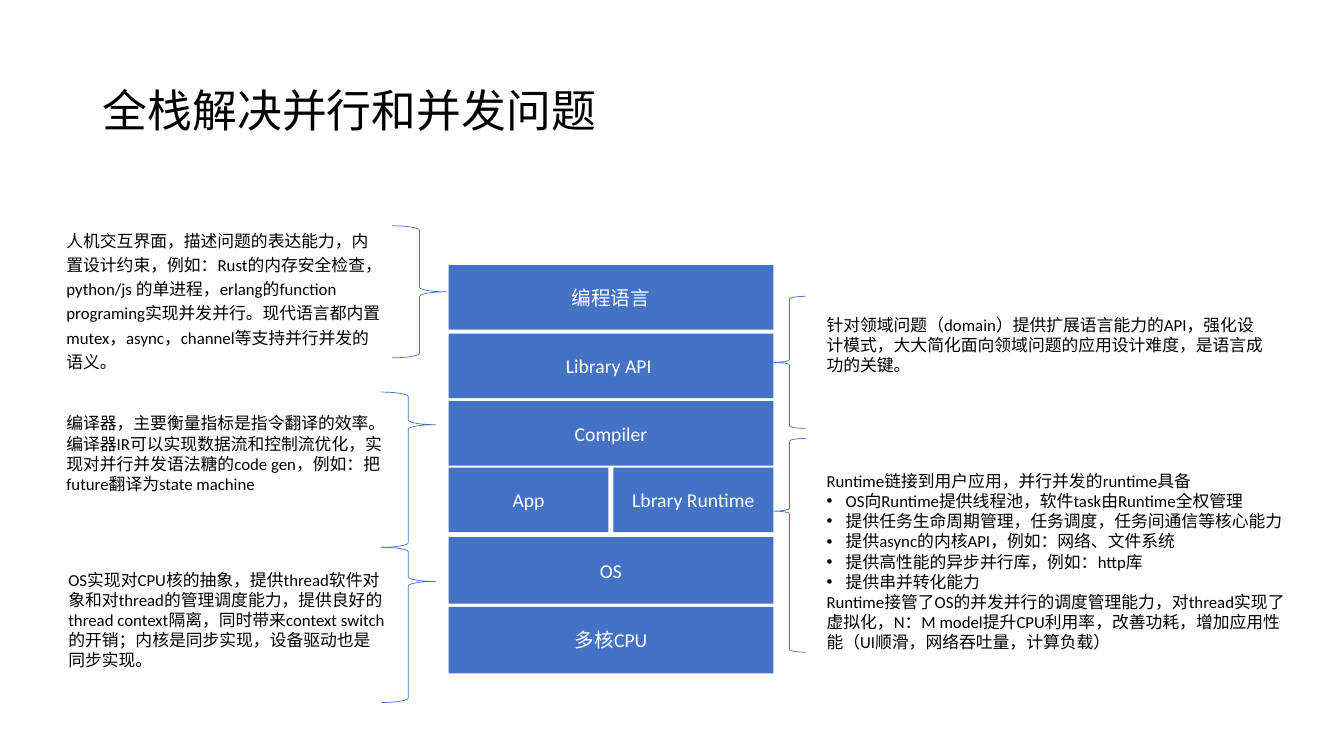
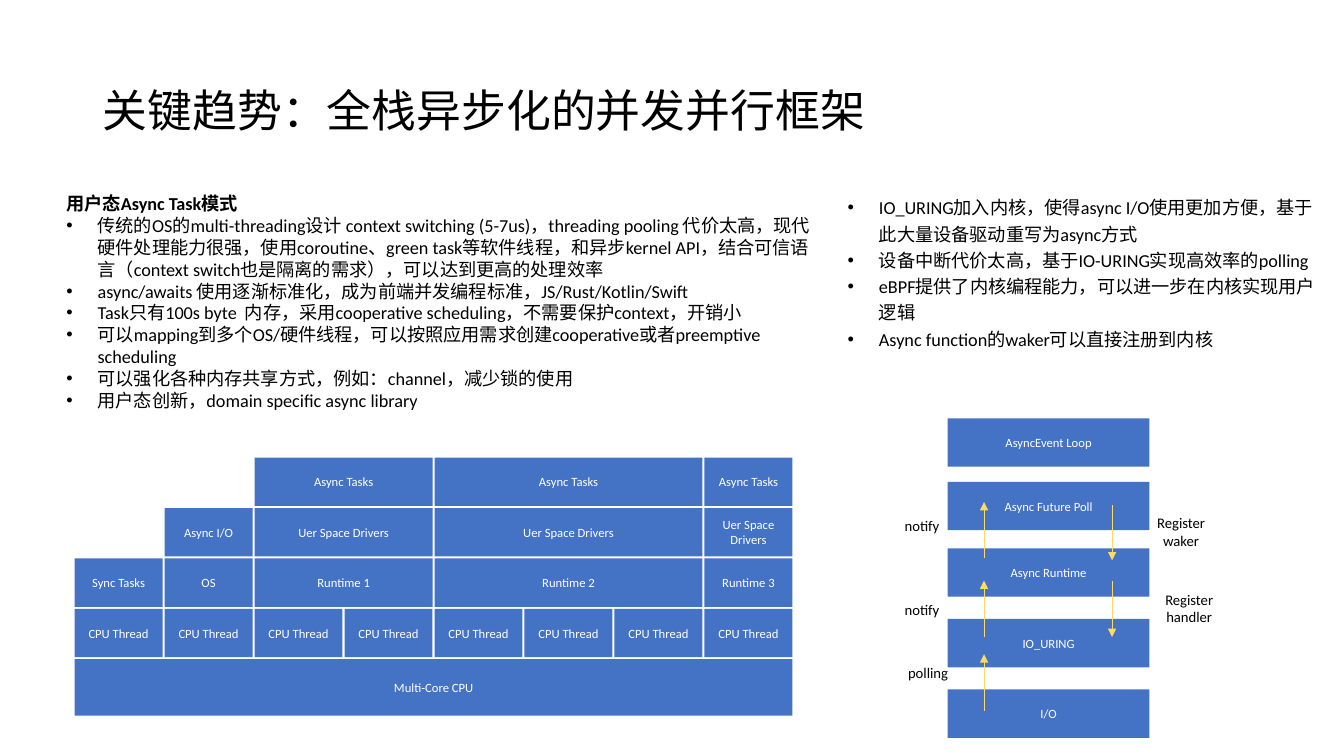
import pptx
import pptx.util
import pptx.dml.color
import pptx.enum.shapes
import pptx.enum.text
import lxml.etree
from pptx.oxml.ns import qn

Inches, Pt = pptx.util.Inches, pptx.util.Pt
SHAPE = pptx.enum.shapes.MSO_SHAPE
ALIGN = pptx.enum.text.PP_ALIGN
ANCHOR = pptx.enum.text.MSO_ANCHOR
AUTO = pptx.enum.text.MSO_AUTO_SIZE

COLORS = {"blue": "4472C4", "yellow": "FFD966", "text": "000000", "white": "FFFFFF"}
FONT = "Calibri"

# Slide 1 content
STACK_TITLE = "全栈解决并行和并发问题"
STACK_LEFT, STACK_WIDTH, STACK_GAP = 4.45, 3.22, 0.05
STACK = [  # top, height, labels
    (2.63, 0.64, ["编程语言"]),
    (3.31, 0.64, ["Library API "]),
    (3.98, 0.64, ["Compiler"]),
    (4.64, 0.64, ["App", "Lbrary Runtime"]),
    (5.33, 0.66, ["OS"]),
    (6.02, 0.66, ["多核CPU"]),
]
BRACES = [  # shape, box, tip position
    (SHAPE.RIGHT_BRACE, (3.89, 2.24, 0.54, 1.31), 0.5),
    (SHAPE.RIGHT_BRACE, (3.78, 3.89, 0.54, 1.54), 0.21),
    (SHAPE.RIGHT_BRACE, (3.78, 5.43, 0.54, 1.54), 0.22),
    (SHAPE.LEFT_BRACE, (7.67, 2.94, 0.32, 1.31), 0.5),
    (SHAPE.LEFT_BRACE, (7.67, 4.35, 0.32, 2.12), 0.34),
]
# Paragraphs that start with "• " become real bullets
STACK_NOTES = [  # box, line spacing, paragraphs
    ((0.46, 2.2, 3.42, 1.54), 1.2, [
        "人机交互界面，描述问题的表达能力，内置设计约束，例如：Rust的内存安全检查，python/js 的单进程，"
        "erlang的function programing实现并发并行。现代语言都内置mutex，async，channel等支持并行并发的语义。"]),
    ((0.46, 4.05, 3.46, 0.91), 1.0, [
        "编译器，主要衡量指标是指令翻译的效率。编译器IR可以实现数据流和控制流优化，"
        "实现对并行并发语法糖的code gen，例如：把future翻译为state machine"]),
    ((0.48, 5.6, 3.46, 1.11), 1.0, [
        "OS实现对CPU核的抽象，提供thread软件对象和对thread的管理调度能力，提供良好的thread context隔离，"
        "同时带来context switch的开销；内核是同步实现，设备驱动也是同步实现。"]),
    ((8, 3.07, 4.63, 0.71), 1.0, [
        "针对领域问题（domain）提供扩展语言能力的API，强化设计模式，"
        "大大简化面向领域问题的应用设计难度，是语言成功的关键。"]),
    ((8, 4.62, 4.86, 2.12), 1.0, [
        "Runtime链接到用户应用，并行并发的runtime具备",
        "• OS向Runtime提供线程池，软件task由Runtime全权管理",
        "• 提供任务生命周期管理，任务调度，任务间通信等核心能力",
        "• 提供async的内核API，例如：网络、文件系统",
        "• 提供高性能的异步并行库，例如：http库",
        "• 提供串并转化能力",
        "Runtime接管了OS的并发并行的调度管理能力，对thread实现了虚拟化，N：M model提升CPU利用率，"
        "改善功耗，增加应用性能（UI顺滑，网络吞吐量，计算负载）"]),
]

# Slide 2 content
TREND_TITLE = "关键趋势：全栈异步化的并发并行框架"
TREND_LEFT = [
    "用户态Async Task模式",
    "• 传统的OS的multi-threading设计 context switching (5-7us)，threading pooling 代价太高，"
    "现代硬件处理能力很强，使用coroutine、green task等软件线程，和异步kernel API，"
    "结合可信语言（context switch也是隔离的需求），可以达到更高的处理效率",
    "• async/awaits 使用逐渐标准化，成为前端并发编程标准，JS/Rust/Kotlin/Swift",
    "• Task只有100s byte  内存，采用cooperative scheduling，不需要保护context，开销小",
    "• 可以mapping到多个OS/硬件线程，可以按照应用需求创建cooperative或者preemptive scheduling",
    "• 可以强化各种内存共享方式，例如：channel，减少锁的使用",
    "• 用户态创新，domain specific async library",
]
TREND_RIGHT = [
    "• IO_URING加入内核，使得async I/O使用更加方便，基于此大量设备驱动重写为async方式",
    "• 设备中断代价太高，基于IO-URING实现高效率的polling",
    "• eBPF提供了内核编程能力，可以进一步在内核实现用户逻辑",
    "• Async function的waker可以直接注册到内核",
]
GRID_LEFT, GRID_TOP, GRID_WIDTH, GRID_COLS = 0.74, 4.54, 7.12, 8
GRID_GAP, ROW_PITCH, ROW_HEIGHT = 0.02, 0.5, 0.48
GRID = [  # height, cells as (first column, columns spanned, label)
    (ROW_HEIGHT, [(2, 2, "Async Tasks"), (4, 3, "Async Tasks"), (7, 1, "Async Tasks")]),
    (ROW_HEIGHT, [(1, 1, "Async I/O"), (2, 2, "Uer Space Drivers"),
                  (4, 3, "Uer Space Drivers"), (7, 1, "Uer Space Drivers")]),
    (ROW_HEIGHT, [(0, 1, "Sync Tasks"), (1, 1, "OS"), (2, 2, "Runtime 1"),
                  (4, 3, "Runtime 2"), (7, 1, "Runtime 3")]),
    (ROW_HEIGHT, [(c, 1, "CPU Thread") for c in range(GRID_COLS)]),
    (0.56, [(0, GRID_COLS, "Multi-Core CPU")]),
]
FLOW = [(4.15, "AsyncEvent Loop"), (4.78, "Async Future Poll"), (5.44, "Async Runtime"),
        (6.14, "IO_URING"), (6.84, "I/O")]
ARROWS = [  # x, start y, end y
    (9.76, 7.05, 6.49), (9.76, 6.32, 5.76), (9.76, 5.54, 4.98),
    (11.03, 5.01, 5.56), (11.03, 5.76, 6.32),
]
FLOW_LABELS = [  # left, top, height, text
    (8.63, 5.08, 0.29, "notify"), (8.63, 5.91, 0.29, "notify"), (8.69, 6.54, 0.29, "polling"),
    (11.2, 5.05, 0.45, "Register waker"), (11.28, 5.81, 0.45, "Register handler"),
]


def rgb(name):
    return pptx.dml.color.RGBColor.from_string(COLORS[name])


def style(p, size, color="text", align=ALIGN.LEFT, spacing=1.0, bold=False):
    p.alignment = align
    p.line_spacing = spacing
    for r in p.runs:
        r.font.name, r.font.size, r.font.bold = FONT, Pt(size), bold
        r.font.color.rgb = rgb(color)


def indent(p, left, first=0.0):
    pPr = p._p.get_or_add_pPr()
    pPr.set("marL", str(Inches(left)))
    pPr.set("indent", str(Inches(first)))
    if first:
        lxml.etree.SubElement(pPr, qn("a:buFont")).set("typeface", "Arial")
        lxml.etree.SubElement(pPr, qn("a:buChar")).set("char", "•")


def add_slide(prs, title):
    s = prs.slides.add_slide(prs.slide_layouts[5])
    sp = s.shapes.title
    sp.left, sp.top, sp.width, sp.height = map(Inches, (0.92, 0.4, 11.5, 1.45))
    tf = sp.text_frame
    tf.text = title
    tf.vertical_anchor = ANCHOR.MIDDLE
    style(tf.paragraphs[0], 32, spacing=0.9)
    return s


def add_block(shapes, box, label, size):
    sp = shapes.add_shape(SHAPE.RECTANGLE, *map(Inches, box))
    sp.shadow.inherit = False
    sp.fill.solid()
    sp.fill.fore_color.rgb = rgb("blue")
    sp.line.fill.background()
    tf = sp.text_frame
    tf.text = label
    tf.vertical_anchor = ANCHOR.MIDDLE
    style(tf.paragraphs[0], size, "white", ALIGN.CENTER)


def add_text(s, box, paragraphs, size, left=0.0, hang=0.0, spacing=1.0,
             align=ALIGN.LEFT, grow=True, bold_first=False):
    tf = s.shapes.add_textbox(*map(Inches, box)).text_frame
    tf.word_wrap = True
    tf.auto_size = AUTO.SHAPE_TO_FIT_TEXT if grow else AUTO.NONE
    for i, text in enumerate(paragraphs):
        p = tf.add_paragraph() if i else tf.paragraphs[0]
        p.text = text.removeprefix("• ")
        style(p, size, align=align, spacing=spacing, bold=bold_first and i == 0)
        if text.startswith("• "):
            indent(p, left + hang, -hang)
        else:
            indent(p, left)


def add_brace(s, kind, box, tip):
    sp = s.shapes.add_shape(kind, *map(Inches, box))
    sp.shadow.inherit = False
    sp.fill.background()
    sp.line.color.rgb = rgb("blue")
    sp.line.width = Pt(0.5)
    sp.adjustments[1] = tip


def add_arrow(s, x, y1, y2):
    cx = s.shapes.add_connector(pptx.enum.shapes.MSO_CONNECTOR.STRAIGHT,
                                *map(Inches, (x, y1, x, y2)))
    cx.line.color.rgb = rgb("yellow")
    cx.line.width = Pt(0.5)
    lxml.etree.SubElement(cx.line._get_or_add_ln(), qn("a:tailEnd")).set("type", "triangle")
    lxml.etree.SubElement(cx._element.spPr, qn("a:effectLst"))


def build_stack(prs):
    s = add_slide(prs, STACK_TITLE)
    # Layers of the stack
    group = s.shapes.add_group_shape()
    for top, height, labels in STACK:
        width = (STACK_WIDTH + STACK_GAP) / len(labels) - STACK_GAP
        for i, label in enumerate(labels):
            left = STACK_LEFT + i * (width + STACK_GAP)
            add_block(group.shapes, (left, top, width, height), label, 14)
    # Braces and explanations
    for brace in BRACES:
        add_brace(s, *brace)
    for box, spacing, paragraphs in STACK_NOTES:
        add_text(s, box, paragraphs, 12, left=0.1, hang=0.19, spacing=spacing)


def build_trend(prs):
    s = add_slide(prs, TREND_TITLE)
    # Thread and task grid
    group = s.shapes.add_group_shape()
    pitch = (GRID_WIDTH + GRID_GAP) / GRID_COLS
    for row, (height, cells) in enumerate(GRID):
        top = GRID_TOP + row * ROW_PITCH
        for col, span, label in cells:
            box = (GRID_LEFT + col * pitch, top, span * pitch - GRID_GAP, height)
            add_block(group.shapes, box, label, 9)
    # Bullet lists
    add_text(s, (0.56, 1.86, 7.63, 2.29), TREND_LEFT, 13, hang=0.31, bold_first=True)
    add_text(s, (8.31, 1.86, 4.9, 2.13), TREND_RIGHT, 13, hang=0.31, spacing=1.2, grow=False)
    # Event flow
    for top, label in FLOW:
        add_block(s.shapes, (9.4, top, 2, ROW_HEIGHT), label, 9)
    for arrow in ARROWS:
        add_arrow(s, *arrow)
    for left, top, height, text in FLOW_LABELS:
        add_text(s, (left, top, 1.03, height), [text], 10.5, align=ALIGN.CENTER)


def main():
    prs = pptx.Presentation()
    prs.slide_width, prs.slide_height = Inches(13.33), Inches(7.5)
    build_stack(prs)
    build_trend(prs)
    prs.save("out.pptx")


if __name__ == "__main__":
    main()
